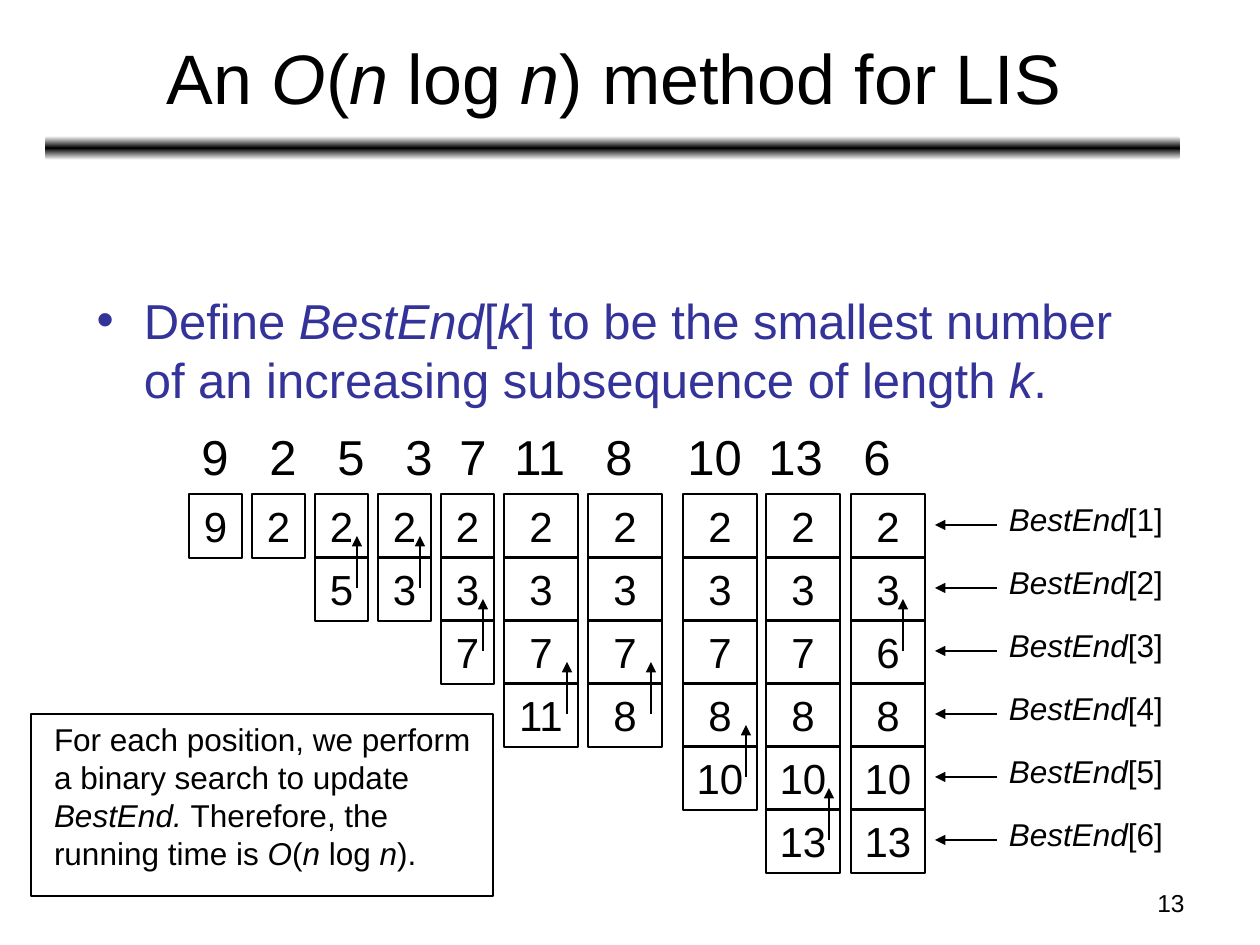
from copy import deepcopy
from typing import NamedTuple

from lxml import etree
from pptx import Presentation
from pptx.dml.color import RGBColor
from pptx.enum import shapes, text
from pptx.oxml import ns
from pptx.util import Emu, Pt

SCALE = 914400 / 126
BLACK, WHITE, BLUE = "000000", "FFFFFF", "333399"
TOP, STEP, HIGH = 494, 63, 64
LEFT, MID = text.PP_ALIGN.LEFT, text.PP_ALIGN.CENTER


class Box(NamedTuple):
    x: int
    y: int
    w: int
    h: int


class Col(NamedTuple):
    x: int
    w: int
    vals: str
    row: int = 0
    inset: int = 11


COLS = [
    Col(189, 53, "9"),
    Col(252, 53, "2"),
    Col(315, 53, "2 5", 1),
    Col(378, 53, "2 3", 1),
    Col(441, 53, "2 3 7", 2),
    Col(504, 74, "2 3 7 11", 3),
    Col(588, 74, "2 3 7 8", 3),
    Col(683, 74, "2 3 7 8 10", 4),
    Col(766, 74, "2 3 7 8 10 13", 5),
    Col(851, 74, "2 3 6 8 10 13", 2, 22),
]
SEQ = "9 2 5 3 7 11 8 10 13 6"
TABS = [68, 136, 204, 258, 313, 404, 486, 567, 662]


def px(n: int) -> Emu:
    """Turn pixels into EMU."""
    return Emu(round(n * SCALE))


def rgb(code: str) -> RGBColor:
    """Turn a hex string into a colour."""
    return RGBColor.from_string(code)


def write(shape, words: str, size: int, hue: str = BLACK, align=LEFT, **frame) -> None:
    """Fill a shape with text in which asterisks switch italics."""
    fmt = {"word_wrap": True, "auto_size": text.MSO_AUTO_SIZE.NONE,
           "vertical_anchor": text.MSO_ANCHOR.TOP, **frame}
    for key, val in fmt.items():
        setattr(shape.text_frame, key, val)
    para = shape.text_frame.paragraphs[0]
    para.alignment = align
    for i, part in enumerate(words.split("*")):
        if part:
            run = para.add_run()
            run.text = part
            for key, val in {"name": "Arial", "size": Pt(size), "italic": i % 2 == 1}.items():
                setattr(run.font, key, val)
            run.font.color.rgb = rgb(hue)


def place(shape, box: Box) -> None:
    """Move and size a shape."""
    for key, val in zip(("left", "top", "width", "height"), box):
        setattr(shape, key, px(val))


def label(slide, box: Box, words: str, size: int, **opts):
    """Add a text box."""
    shape = slide.shapes.add_textbox(*map(px, box))
    write(shape, words, size, **opts)
    return shape


def frame(slide, box: Box, words: str, size: int, **opts) -> None:
    """Add an unfilled rectangle with a thin border and text."""
    shape = slide.shapes.add_shape(shapes.MSO_SHAPE.RECTANGLE, *map(px, box))
    shape.shadow.inherit = False
    shape.fill.background()
    shape.line.color.rgb = rgb(BLACK)
    shape.line.width = Pt(0.75)
    write(shape, words, size, **opts)


def arrow(slide, x1: int, y1: int, x2: int, y2: int) -> None:
    """Add a line with a triangle at its end."""
    line = slide.shapes.add_connector(shapes.MSO_CONNECTOR.STRAIGHT, *map(px, (x1, y1, x2, y2)))
    line.line.color.rgb = rgb(BLACK)
    line.line.width = Pt(0.75)
    props = line._element.spPr
    etree.SubElement(props.find(ns.qn("a:ln")), ns.qn("a:tailEnd"), type="triangle")
    etree.SubElement(props, ns.qn("a:effectLst"))


def rule(slide, box: Box) -> None:
    """Add the bar that fades from black to white at both edges."""
    bar = slide.shapes.add_shape(shapes.MSO_SHAPE.ROUNDED_RECTANGLE, *map(px, box))
    bar.shadow.inherit = False
    bar.line.fill.background()
    bar.fill.gradient()
    stops = bar._element.spPr.find(".//" + ns.qn("a:gsLst"))
    stops.append(deepcopy(stops[0]))
    for stop, spot, hue in zip(bar.fill.gradient_stops, (0, 0.5, 1), (WHITE, BLACK, WHITE)):
        stop.position = spot
        stop.color.rgb = rgb(hue)
    bar.fill.gradient_angle = 90


def row(slide, box: Box) -> None:
    """Add the input sequence, spaced by tab stops."""
    shape = label(slide, box, SEQ.replace(" ", "\t"), 28)
    props = shape.text_frame.paragraphs[0]._p.get_or_add_pPr()
    tabs = etree.SubElement(props, ns.qn("a:tabLst"))
    for tab in TABS:
        etree.SubElement(tabs, ns.qn("a:tab"), pos=str(px(tab)), algn="l")


def main() -> None:
    """Build the slide and save it."""
    deck = Presentation()
    deck.slide_width, deck.slide_height = px(1260), px(945)
    slide = deck.slides.add_slide(deck.slide_layouts[1])
    rule(slide, Box(45, 136, 1135, 24))
    label(slide, Box(903, 882, 294, 44), "13", 14, align=text.PP_ALIGN.RIGHT)

    title, body = slide.placeholders
    place(title, Box(47, 14, 1134, 125))
    write(title, "An *O*(*n *log *n*) method for LIS", 40, align=MID,
          vertical_anchor=text.MSO_ANCHOR.MIDDLE)
    place(body, Box(84, 284, 1071, 567))
    write(body, "Define *BestEnd*[*k*] to be the smallest number of an "
          "increasing subsequence of length *k*.", 28, BLUE)
    body.text_frame.paragraphs[0].space_before = Pt(0)

    row(slide, Box(189, 420, 851, 147))
    for col in COLS:
        for i, val in enumerate(col.vals.split()):
            frame(slide, Box(col.x, TOP + i * STEP, col.w, HIGH), val, 24, align=MID,
                  word_wrap=False, vertical_anchor=text.MSO_ANCHOR.MIDDLE)
    for i in range(6):
        y = TOP + i * STEP
        arrow(slide, 997, y + 31, 935, y + 31)
        label(slide, Box(987, y, 199, 54), f"*BestEnd*[{i + 1}]", 18, margin_left=px(22))
    for col in COLS:
        if col.row:
            x, y = col.x + col.w - col.inset, TOP + col.row * STEP
            arrow(slide, x, y + 31, x, y - 21)

    frame(slide, Box(31, 714, 462, 182), "For each position, we perform a binary search to "
          "update *BestEnd. *Therefore, the running time is *O*(*n *log *n*).", 18,
          margin_left=px(23))
    deck.save("out.pptx")


if __name__ == "__main__":
    main()
